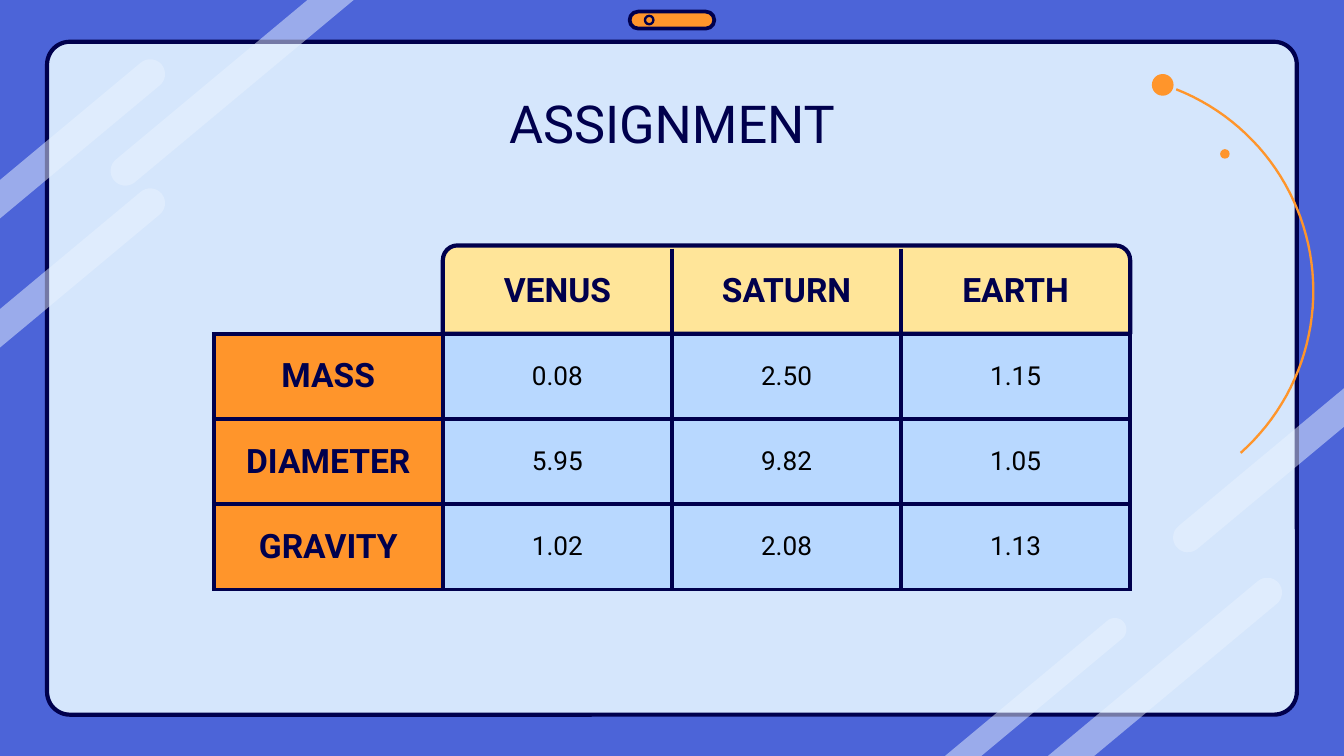
from math import cos, radians, sin

from pptx import Presentation
from pptx.dml.color import RGBColor
from pptx.enum.shapes import MSO_SHAPE
from pptx.enum.text import MSO_ANCHOR, PP_ALIGN
from pptx.oxml.ns import qn
from pptx.util import Cm, Pt
from lxml import etree

ROUND = MSO_SHAPE.ROUNDED_RECTANGLE
OVAL = MSO_SHAPE.OVAL
TAB = MSO_SHAPE.ROUND_2_SAME_RECTANGLE
CENTER = PP_ALIGN.CENTER
TOP, MIDDLE = MSO_ANCHOR.TOP, MSO_ANCHOR.MIDDLE

HUES = {
    "back": "4C64D8", "panel": "D5E6FC", "navy": "00004D", "beam": "E9F3FF",
    "orange": "FF952B", "cream": "FFE599", "sky": "B8D8FF", "black": "000000",
}
FONT = "Roboto"
PLAIN = "{2D5ABB26-0587-4C30-8999-92F81FD0307C}"
WIDE, HIGH = 25.4, 14.29
SLANT = 39.8
BEAMS = [
    ("right", 23.95, 11.2, 0.28, "down"), ("right", 21.07, 11.9, 0.22, "down"),
    ("left", 2.37, 3.23, 0.28, "up"), ("left", 2.84, 1.4, 0.28, "out"),
    ("left", 2.84, 3.84, 0.28, "out"), ("right", 22.45, 10.16, 0.28, "out"),
]
HEADS = ["VENUS", "SATURN", "EARTH"]
ROWS = [
    ["MASS", "0.08", "2.50", "1.15"],
    ["DIAMETER", "5.95", "9.82", "1.05"],
    ["GRAVITY", "1.02", "2.08", "1.13"],
]


def rgb(name):
    """Return the named colour."""
    return RGBColor.from_string(HUES[name])


def paint(shape, fill=None, line=None, width=2.25):
    """Set the fill and line of a shape; None means no paint."""
    shape.shadow.inherit = False
    if fill:
        shape.fill.solid()
        shape.fill.fore_color.rgb = rgb(fill)
    else:
        shape.fill.background()
    if line:
        shape.line.color.rgb = rgb(line)
        shape.line.width = Pt(width)
    else:
        shape.line.fill.background()


def add(slide, kind, box, adjust=(), **look):
    """Add a painted preset shape in a box."""
    shape = slide.shapes.add_shape(kind, *map(Cm, box))
    for i, value in enumerate(adjust):
        shape.adjustments[i] = value
    paint(shape, **look)


def trace(slide, points, close, **look):
    """Add a painted outline through points."""
    spots = [(Cm(x), Cm(y)) for x, y in points]
    pen = slide.shapes.build_freeform(*spots[0])
    pen.add_line_segments(spots[1:], close=close)
    shape = pen.convert_to_shape()
    paint(shape, **look)
    return shape


def sweep(x, y, r, start, end, steps):
    """Return points along an arc, in degrees clockwise from the right."""
    turns = [radians(start + (end - start) * i / steps) for i in range(steps + 1)]
    return [(x + r * cos(a), y + r * sin(a)) for a in turns]


def write(frame, text, size=14, hue="black", bold=False):
    """Put centred text in a text frame."""
    frame.text = text
    line = frame.paragraphs[0]
    line.alignment = CENTER
    font = line.runs[0].font
    font.name, font.size, font.bold = FONT, Pt(size), bold
    font.color.rgb = rgb(hue)


def draw_beam(slide, box, side, x, y, r, way):
    """Draw a clear beam from its round cap to an edge of the box."""
    left, top, w, h = box
    rises = way == "up" or (way == "out" and side == "right")
    turn = -SLANT if rises else 180 - SLANT
    dx, dy = cos(radians(turn)), sin(radians(turn))
    cap = sweep(x, y, r, turn + 90, turn + 270, 16)

    def reach(px, py):
        """Return where a beam side meets the edge."""
        if way == "out":
            far = ((left if side == "left" else left + w) - px) / dx
        else:
            far = ((top if way == "up" else top + h) - py) / dy
        return px + far * dx, py + far * dy

    points = [reach(*cap[0]), *cap, reach(*cap[-1])]
    shape = trace(slide, points, True, fill="beam")
    tint = shape.element.spPr.find(".//" + qn("a:srgbClr"))
    etree.SubElement(tint, qn("a:alpha")).set("val", "50000")


def draw_frame(slide, box):
    """Draw the panel, the beams and the top button."""
    x, y, w, h = box
    add(slide, ROUND, (x + 0.89, y + 0.79, w - 1.78, h - 1.57), [0.034],
        fill="panel", line="navy")
    for beam in BEAMS:
        draw_beam(slide, box, *beam)
    mid = x + w / 2
    add(slide, ROUND, (mid - 0.8, y + 0.22, 1.6, 0.32), [0.5],
        fill="orange", line="navy", width=2)
    add(slide, OVAL, (mid - 0.51, y + 0.3, 0.16, 0.16), line="navy", width=1.25)


def draw_orbit(slide, box):
    """Draw the orbit line and its two dots."""
    x, y, w, h = box
    r = h / 2
    trace(slide, sweep(x + w - r, y + r, r, -68.4, 48.3, 48), False,
          line="orange", width=1.25)
    add(slide, OVAL, (x + 1.29, y + 1.42, 0.18, 0.18), fill="orange")
    add(slide, OVAL, (x, y, 0.41, 0.41), fill="orange")


def place_title(slide, box, text):
    """Move the title to its box, in front of the panel."""
    title = slide.shapes.title
    title.element.getparent().append(title.element)
    title.left, title.top, title.width, title.height = map(Cm, box)
    frame = title.text_frame
    frame.margin_left = frame.margin_right = Cm(0.25)
    frame.margin_top = frame.margin_bottom = Cm(0.25)
    frame.vertical_anchor = TOP
    write(frame, text, size=28, hue="navy")


def edge(cell, sides):
    """Draw the listed sides of a cell and clear the rest."""
    props = cell._tc.get_or_add_tcPr()
    for side in "LRTB":
        line = etree.SubElement(props, qn("a:ln" + side))
        if side in sides:
            line.set("w", str(Pt(2.25)))
            fill = etree.SubElement(line, qn("a:solidFill"))
            etree.SubElement(fill, qn("a:srgbClr")).set("val", HUES["navy"])
        else:
            etree.SubElement(line, qn("a:noFill"))


def fill_cell(cell, text, sides, fill=None, **form):
    """Set the borders, fill and text of a cell."""
    edge(cell, sides)
    if fill:
        cell.fill.solid()
        cell.fill.fore_color.rgb = rgb(fill)
    else:
        cell.fill.background()
    cell.margin_left = cell.margin_right = Cm(0.25)
    cell.margin_top = cell.margin_bottom = Cm(0.25)
    cell.vertical_anchor = MIDDLE
    if text:
        write(cell.text_frame, text, **form)


def draw_table(slide, box):
    """Draw the planet table over its rounded header."""
    x, y, w, h = box
    count, depth = len(HEADS) + 1, len(ROWS) + 1
    col, row = w / count, h / depth
    add(slide, TAB, (x + col, y - 0.06, w - col, row + 0.06), [0.167, 0],
        fill="cream", line="navy")
    table = slide.shapes.add_table(depth, count, *map(Cm, box)).table
    table._tbl.tblPr.find(qn("a:tableStyleId")).text = PLAIN
    table.first_row = table.horz_banding = False
    strong = {"size": 18, "hue": "navy", "bold": True}
    sides = ["B", "RB", "LRB", "LB"]
    for j, text in enumerate(["", *HEADS]):
        fill_cell(table.cell(0, j), text, sides[j], **strong)
    for i, texts in enumerate(ROWS, 1):
        for j, text in enumerate(texts):
            form = {"fill": "sky"} if j else {"fill": "orange", **strong}
            fill_cell(table.cell(i, j), text, "LRTB", **form)


def main():
    """Build and save the slide."""
    deck = Presentation()
    deck.slide_width, deck.slide_height = Cm(WIDE), Cm(HIGH)
    slide = deck.slides.add_slide(deck.slide_layouts[5])
    slide.background.fill.solid()
    slide.background.fill.fore_color.rgb = rgb("back")
    draw_frame(slide, (0, 0, WIDE, HIGH))
    draw_orbit(slide, (21.77, 1.4, 3.05, 8.2))
    place_title(slide, (2, 1.47, 21.4, 1.6), "ASSIGNMENT")
    draw_table(slide, (4.04, 4.7, 17.32, 6.44))
    deck.save("out.pptx")


if __name__ == "__main__":
    main()
